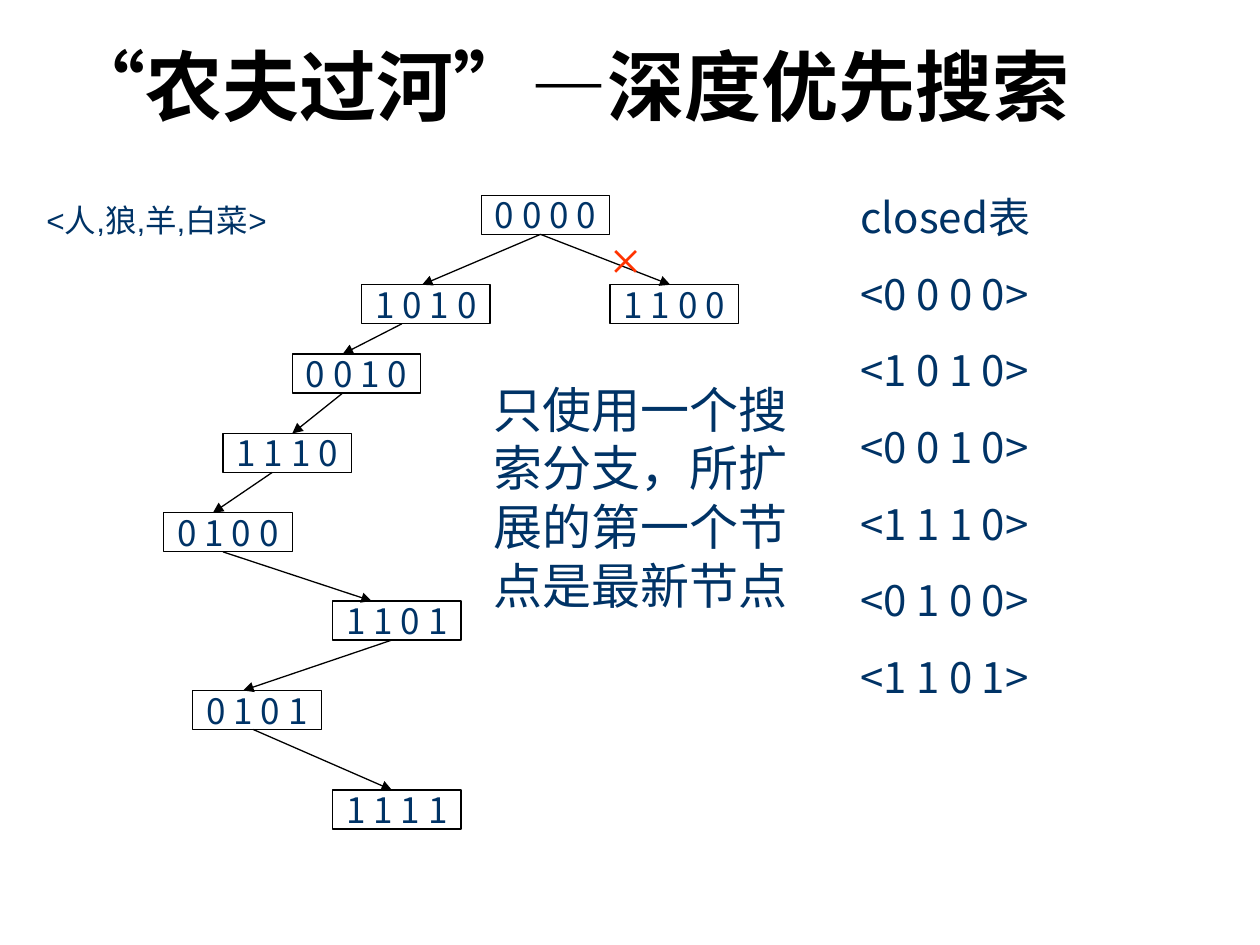
from lxml.etree import SubElement
from pptx import Presentation
from pptx.dml.color import RGBColor
from pptx.enum.shapes import MSO_CONNECTOR, MSO_SHAPE
from pptx.enum.text import MSO_ANCHOR, MSO_AUTO_SIZE, PP_ALIGN
from pptx.oxml.ns import qn
from pptx.util import Inches, Pt

BLACK = RGBColor(0x00, 0x00, 0x00)
NAVY = RGBColor(0x00, 0x33, 0x66)
RED = RGBColor(0xFF, 0x33, 0x00)

CJK = "Noto Sans CJK KR"
NODE_WIDTH, NODE_HEIGHT = 1.02, 0.31

# State (farmer, wolf, goat, cabbage): left and top of its box
NODES = {
    "0 0 0 0": (3.82, 1.55),
    "1 0 1 0": (2.87, 2.26),
    "1 1 0 0": (4.84, 2.26),
    "0 0 1 0": (2.32, 2.81),
    "1 1 1 0": (1.77, 3.44),
    "0 1 0 0": (1.30, 4.07),
    "1 1 0 1": (2.64, 4.77),
    "0 1 0 1": (1.53, 5.48),
    "1 1 1 1": (2.64, 6.27),
}
# Parent, child, x on the parent's bottom edge, x on the child's top edge
EDGES = [
    ("0 0 0 0", "1 0 1 0", 4.29, 3.35),
    ("0 0 0 0", "1 1 0 0", 4.29, 5.32),
    ("1 0 1 0", "0 0 1 0", 3.19, 2.72),
    ("0 0 1 0", "1 1 1 0", 2.72, 2.32),
    ("1 1 1 0", "0 1 0 0", 2.16, 1.69),
    ("0 1 0 0", "1 1 0 1", 1.77, 2.95),
    ("1 1 0 1", "0 1 0 1", 3.11, 1.93),
    ("0 1 0 1", "1 1 1 1", 2.01, 3.11),
]
CLOSED_STATES = ["0 0 0 0", "1 0 1 0", "0 0 1 0", "1 1 1 0", "0 1 0 0", "1 1 0 1"]


def style_paragraph(paragraph, size, color=NAVY, name=CJK, bold=False):
    font = paragraph.font
    font.size = Pt(size)
    font.name = name
    font.bold = bold
    font.color.rgb = color
    # East Asian glyphs take their own typeface
    SubElement(font._element, qn("a:ea")).set("typeface", CJK)


def add_text(slide, box, lines, size, space_before=0, align=PP_ALIGN.LEFT,
             anchor=MSO_ANCHOR.TOP, wrap=True, inset=True, **font):
    shape = slide.shapes.add_textbox(*map(Inches, box))
    frame = shape.text_frame
    frame.word_wrap = wrap
    frame.auto_size = MSO_AUTO_SIZE.NONE
    frame.vertical_anchor = anchor
    if not inset:
        frame.margin_left = frame.margin_right = 0
        frame.margin_top = frame.margin_bottom = 0
    frame.text = "\n".join(lines)
    for paragraph in frame.paragraphs:
        paragraph.alignment = align
        paragraph.space_before = Pt(space_before)
        style_paragraph(paragraph, size, **font)


def add_node(slide, state, left, top):
    shape = slide.shapes.add_shape(
        MSO_SHAPE.RECTANGLE, Inches(left), Inches(top),
        Inches(NODE_WIDTH), Inches(NODE_HEIGHT))
    shape.shadow.inherit = False
    shape.fill.background()
    shape.line.color.rgb = BLACK
    shape.line.width = Pt(0.75)
    frame = shape.text_frame
    frame.word_wrap = False
    frame.vertical_anchor = MSO_ANCHOR.MIDDLE
    frame.text = state
    paragraph = frame.paragraphs[0]
    paragraph.alignment = PP_ALIGN.CENTER
    style_paragraph(paragraph, 20)


def add_arrow(slide, parent, child, start_x, end_x):
    start_y = NODES[parent][1] + NODE_HEIGHT
    end_y = NODES[child][1]
    connector = slide.shapes.add_connector(
        MSO_CONNECTOR.STRAIGHT, Inches(start_x), Inches(start_y),
        Inches(end_x), Inches(end_y))
    connector.line.color.rgb = BLACK
    connector.line.width = Pt(0.75)
    properties = connector._element.spPr
    SubElement(properties.find(qn("a:ln")), qn("a:tailEnd")).set("type", "triangle")
    SubElement(properties, qn("a:effectLst"))


def main():
    presentation = Presentation()
    presentation.slide_width = Inches(10)
    presentation.slide_height = Inches(7.5)
    slide = presentation.slides.add_slide(presentation.slide_layouts[6])

    add_text(slide, (0.27, 0.27, 8.5, 0.8), ["“农夫过河”—深度优先搜索"], 44,
             align=PP_ALIGN.CENTER, anchor=MSO_ANCHOR.MIDDLE,
             color=BLACK, name="Arial", bold=True)
    add_text(slide, (0.27, 1.55, 2.43, 0.4), ["<人,狼,羊,白菜>"], 18,
             wrap=False, name="Arial")

    for state, (left, top) in NODES.items():
        add_node(slide, state, left, top)
    for edge in EDGES:
        add_arrow(slide, *edge)
    add_text(slide, (4.84, 1.78, 0.39, 0.53), ["×"], 32, space_before=20,
             inset=False, color=RED, name="Times New Roman")

    add_text(slide, (3.82, 2.96, 2.68, 1.97),
             ["只使用一个搜索分支，所扩展的第一个节点是最新节点"], 28, space_before=17.5)
    add_text(slide, (6.73, 1.47, 1.97, 4.15),
             ["closed表"] + [f"<{state}>" for state in CLOSED_STATES], 24,
             space_before=15)

    presentation.save("out.pptx")


if __name__ == "__main__":
    main()
